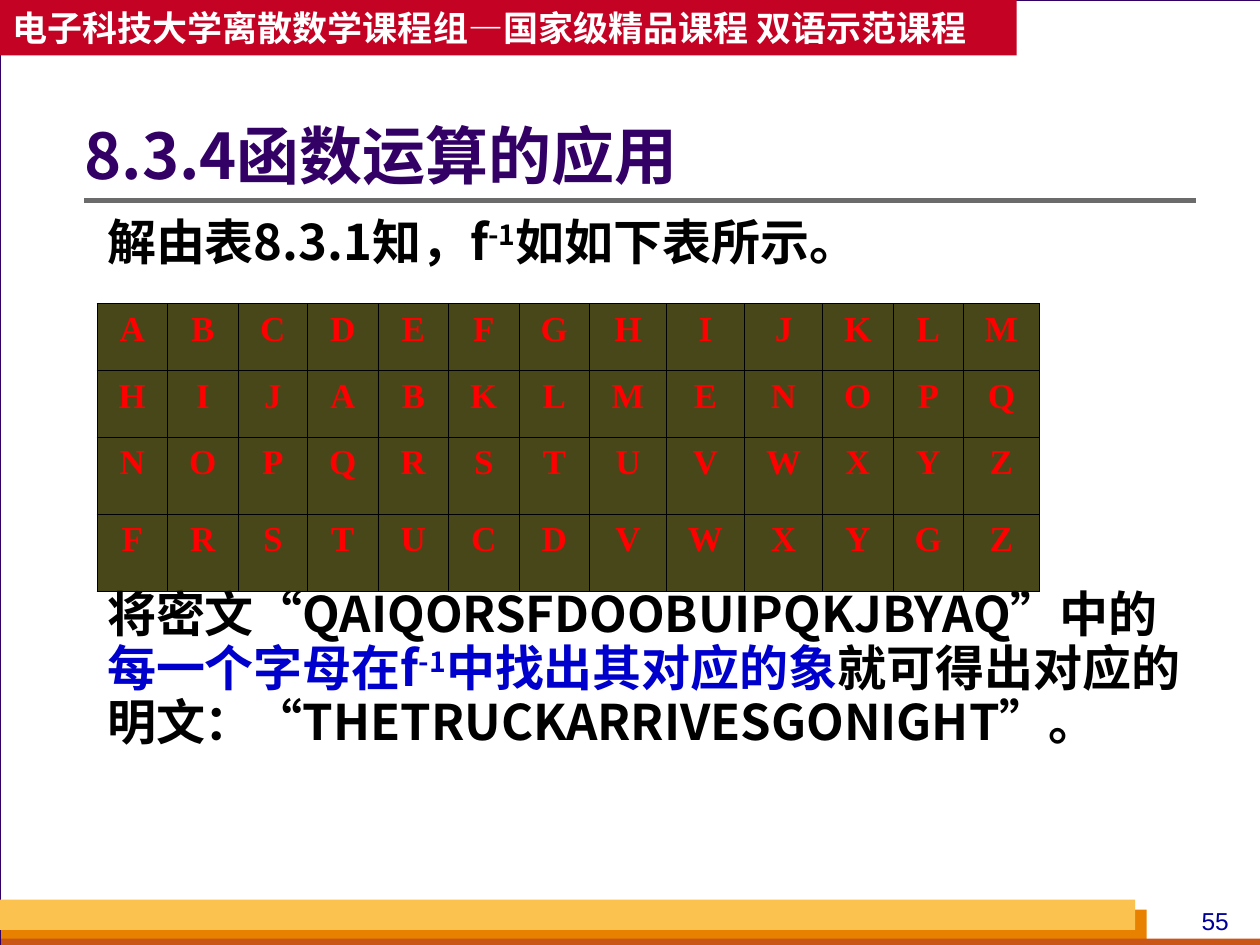
from dataclasses import dataclass

from lxml.etree import SubElement
from pptx import Presentation
from pptx.dml.color import RGBColor
from pptx.enum.shapes import MSO_CONNECTOR, MSO_SHAPE
from pptx.enum.text import MSO_ANCHOR, MSO_AUTO_SIZE, PP_ALIGN
from pptx.oxml.ns import qn
from pptx.slide import Slide
from pptx.util import Inches, Pt


def color(hex_code):
    return RGBColor.from_string(hex_code)


def add_text(paragraph, text, size, font, fill, bold=False, raised=False):
    run = paragraph.add_run()
    run.text = text
    run.font.size = Pt(size)
    run.font.bold = bold
    run.font.name = font
    run.font.color.rgb = color(fill)
    properties = run.font._element
    SubElement(properties, qn("a:ea"), typeface=font)
    if raised:
        properties.set("baseline", "30000")


@dataclass
class SlideBuilder:
    slide: Slide
    heading_font: str = "Noto Sans CJK SC"
    letter_font: str = "Times New Roman"
    number_font: str = "Arial"
    purple: str = "330066"

    def bar(self, left, top, width, height, fill, outline=None):
        bar = self.slide.shapes.add_shape(
            MSO_SHAPE.RECTANGLE, Inches(left), Inches(top), Inches(width), Inches(height))
        bar.shadow.inherit = False
        bar.fill.solid()
        bar.fill.fore_color.rgb = color(fill)
        if outline:
            bar.line.color.rgb = color(outline)
            bar.line.width = Pt(0.75)
        else:
            bar.line.fill.background()
        return bar

    def banner(self, text, *box, fill):
        frame = self.bar(*box, fill).text_frame
        frame.word_wrap = True
        frame.vertical_anchor = MSO_ANCHOR.MIDDLE
        frame.paragraphs[0].alignment = PP_ALIGN.LEFT
        add_text(frame.paragraphs[0], text, 20, self.heading_font, "FFFFFF", bold=True)

    def rule(self, left, right, y, fill, width):
        rule = self.slide.shapes.add_connector(
            MSO_CONNECTOR.STRAIGHT, Inches(left), Inches(y), Inches(right), Inches(y))
        rule.line.color.rgb = color(fill)
        rule.line.width = Pt(width)
        SubElement(rule.element.spPr, qn("a:effectLst"))

    def page_number(self, text, left, top, width, height):
        box = self.slide.shapes.add_textbox(
            Inches(left), Inches(top), Inches(width), Inches(height))
        box.text_frame.word_wrap = True
        paragraph = box.text_frame.paragraphs[0]
        paragraph.alignment = PP_ALIGN.CENTER
        add_text(paragraph, text, 14, self.number_font, "000099")

    def placeholder(self, index, left, top, width, height):
        holder = self.slide.placeholders[index]
        holder.left, holder.top = Inches(left), Inches(top)
        holder.width, holder.height = Inches(width), Inches(height)
        # Bring it in front of the background bars
        holder.element.getparent().append(holder.element)
        frame = holder.text_frame
        frame.word_wrap = True
        frame.auto_size = MSO_AUTO_SIZE.NONE
        return frame

    def title(self, text, *box):
        frame = self.placeholder(0, *box)
        frame.margin_left = 0
        frame.vertical_anchor = MSO_ANCHOR.MIDDLE
        paragraph = frame.paragraphs[0]
        paragraph.alignment = PP_ALIGN.LEFT
        paragraph.line_spacing = 0.9
        add_text(paragraph, text, 36, self.heading_font, self.purple, bold=True)

    def body(self, paragraphs, *box, gap):
        frame = self.placeholder(1, *box)
        for number, runs in enumerate(paragraphs):
            paragraph = frame.add_paragraph() if number else frame.paragraphs[0]
            properties = paragraph._p.get_or_add_pPr()
            properties.set("marL", "0")
            properties.set("indent", "0")
            SubElement(properties, qn("a:buNone"))
            paragraph.line_spacing = 0.92
            paragraph.space_before = Pt(gap if number else 0)
            for text, fill, raised in runs:
                add_text(paragraph, text, 28, self.heading_font, fill, bold=True, raised=raised)

    def letter_table(self, rows, left, top, widths, heights):
        table = self.slide.shapes.add_table(
            len(rows), len(widths), Inches(left), Inches(top),
            Inches(sum(widths)), Inches(sum(heights))).table
        table.first_row = table.horz_banding = False
        for column, width in zip(table.columns, widths):
            column.width = Inches(width)
        for row, height, letters in zip(table.rows, heights, rows):
            row.height = Inches(height)
            for cell, letter in zip(row.cells, letters):
                self.letter_cell(cell, letter)

    def letter_cell(self, cell, letter):
        paragraph = cell.text_frame.paragraphs[0]
        paragraph.alignment = PP_ALIGN.CENTER
        add_text(paragraph, letter, 20, self.letter_font, "FF0000", bold=True)
        properties = cell._tc.get_or_add_tcPr()
        # Borders come before the fill in the cell properties
        for side in ("lnL", "lnR", "lnT", "lnB"):
            border = SubElement(properties, qn(f"a:{side}"), w=str(Pt(0.45)))
            SubElement(SubElement(border, qn("a:solidFill")), qn("a:srgbClr"), val="000000")
        cell.fill.solid()
        cell.fill.fore_color.rgb = color("333300")
        SubElement(properties.find(f"{qn('a:solidFill')}/{qn('a:srgbClr')}"),
                   qn("a:alpha"), val="90000")


def main():
    deck = Presentation()
    deck.slide_width, deck.slide_height = Inches(10), Inches(7.5)
    builder = SlideBuilder(deck.slides.add_slide(deck.slide_layouts[1]))
    background = builder.slide.background.fill
    background.solid()
    background.fore_color.rgb = color("D8DADA")

    # Page frame, footer bars and header
    builder.bar(0, 0, 10.01, 7.5, "FFFFFF", outline=builder.purple)
    builder.bar(0.01, 7.22, 9.09, 0.28, "E88000")
    builder.bar(0.01, 7.45, 10, 0.08, "C95616")
    builder.bar(0, 7.14, 9.01, 0.24, "FCC24F")
    builder.page_number("55", 9.33, 7.14, 0.63, 0.34)
    builder.rule(0.67, 9.49, 1.59, "6B6B6B", 3)
    builder.banner("电子科技大学离散数学课程组—国家级精品课程 双语示范课程",
                   0, 0, 8.07, 0.44, fill="C30224")

    # Title and explanation, with a gap for the table
    builder.title("8.3.4函数运算的应用", 0.67, 0.76, 8.82, 1.01)
    black, blue = "000000", "0000CC"
    table_intro = [("解由表8.3.1知，f", black, False),
                   ("-1", black, True),
                   ("如如下表所示。", black, False)]
    decryption = [("将密文“QAIQORSFDOOBUIPQKJBYAQ”中的", black, False),
                  ("每一个字母在f", blue, False),
                  ("-1", blue, True),
                  ("中找出其对应的象", blue, False),
                  ("就可得出对应的明文：“THETRUCKARRIVESGONIGHT”。", black, False)]
    builder.body([table_intro, decryption], 0.75, 1.67, 8.92, 5.02, gap=182)

    # Inverse function: each letter above its image
    builder.letter_table(
        ["ABCDEFGHIJKLM", "HIJABKLMENOPQ", "NOPQRSTUVWXYZ", "FRSTUCDVWXYGZ"],
        0.77, 2.41,
        widths=[0.56, 0.56, 0.55] + [0.56] * 4 + [0.61, 0.62, 0.62, 0.56, 0.56, 0.6],
        heights=[0.53, 0.53, 0.61, 0.61])

    deck.save("out.pptx")


if __name__ == "__main__":
    main()
